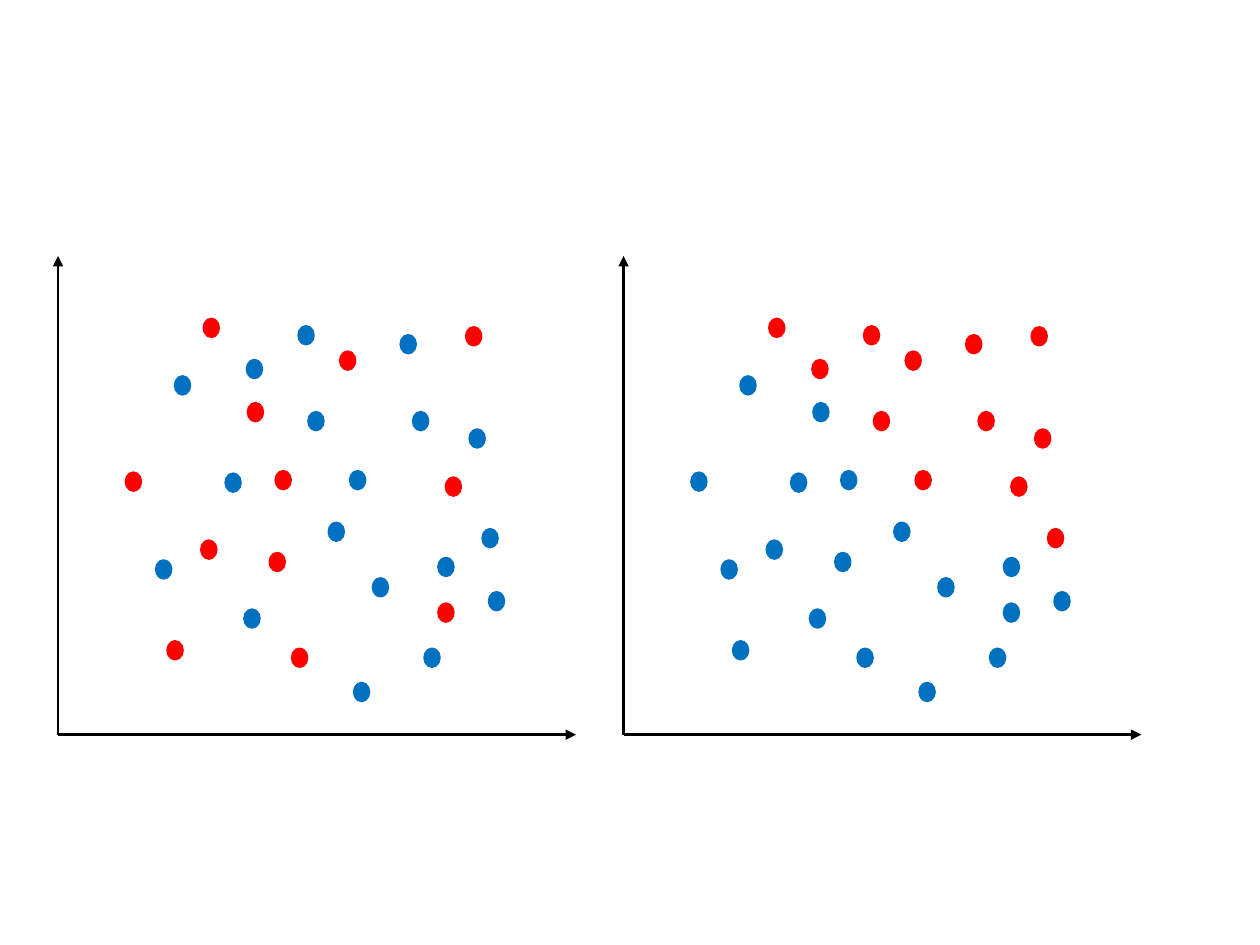
from lxml.etree import SubElement
from pptx import Presentation
from pptx.dml.color import RGBColor
from pptx.enum.shapes import MSO_CONNECTOR, MSO_SHAPE
from pptx.oxml.ns import qn
from pptx.util import Cm, Pt

HUES = {"red": "FF0000", "blue": "0070C0", "axis": "000000"}

# Dots by their class in the left and the right plot: (left, top) in cm
DOTS = {
    ("red", "red"): [(8.99, 9.63), (6.86, 7.09), (4.11, 6.43), (9.4, 6.6)],
    ("red", "blue"): [
        (5, 8.13), (5.44, 11.15), (5.89, 13.08), (3.38, 12.93),
        (4.06, 10.9), (8.84, 12.17), (2.54, 9.53), (5.56, 9.5),
    ],
    ("blue", "red"): [
        (8.33, 8.31), (7.06, 9.5), (6.22, 8.31), (4.98, 7.26),
        (9.47, 8.66), (8.08, 6.76), (6.02, 6.58), (9.73, 10.67),
    ],
    ("blue", "blue"): [
        (4.55, 9.55), (3.53, 7.59), (9.86, 11.94), (3.15, 11.3),
        (7.52, 11.66), (8.56, 13.08), (4.93, 12.29), (7.14, 13.77),
        (6.63, 10.54), (8.84, 11.25),
    ],
}
BASE = (1.17, 14.81)                    # where the axes meet
TIPS = [(11.61, 14.81), (1.17, 5.16)]   # ends of the x and y axes
STEP = 11.4                             # shift from left to right plot
WIDE, HIGH = 0.3, 0.36                  # dot size


def paint(line, hue):
    line.color.rgb = RGBColor.from_string(HUES[hue])
    line.width = Pt(1.5)


def add_axis(group, tip, shift):
    axis = group.shapes.add_connector(
        MSO_CONNECTOR.STRAIGHT,
        Cm(BASE[0] + shift), Cm(BASE[1]), Cm(tip[0] + shift), Cm(tip[1]))
    paint(axis.line, "axis")
    SubElement(axis.line._get_or_add_ln(), qn("a:tailEnd"), type="triangle")
    SubElement(axis._element.spPr, qn("a:effectLst"))


def add_dot(group, left, top, hue):
    dot = group.shapes.add_shape(
        MSO_SHAPE.OVAL, Cm(left), Cm(top), Cm(WIDE), Cm(HIGH))
    dot.shadow.inherit = False
    dot.fill.solid()
    dot.fill.fore_color.rgb = RGBColor.from_string(HUES[hue])
    paint(dot.line, hue)


def main():
    deck = Presentation()
    deck.slide_width, deck.slide_height = Cm(25.4), Cm(19.05)
    slide = deck.slides.add_slide(deck.slide_layouts[6])

    # One group per plot: axes, then dots
    for side in range(2):
        shift = side * STEP
        group = slide.shapes.add_group_shape()
        for tip in TIPS:
            add_axis(group, tip, shift)
        for hues, spots in DOTS.items():
            for left, top in spots:
                add_dot(group, left + shift, top, hues[side])

    deck.save("out.pptx")


if __name__ == "__main__":
    main()
